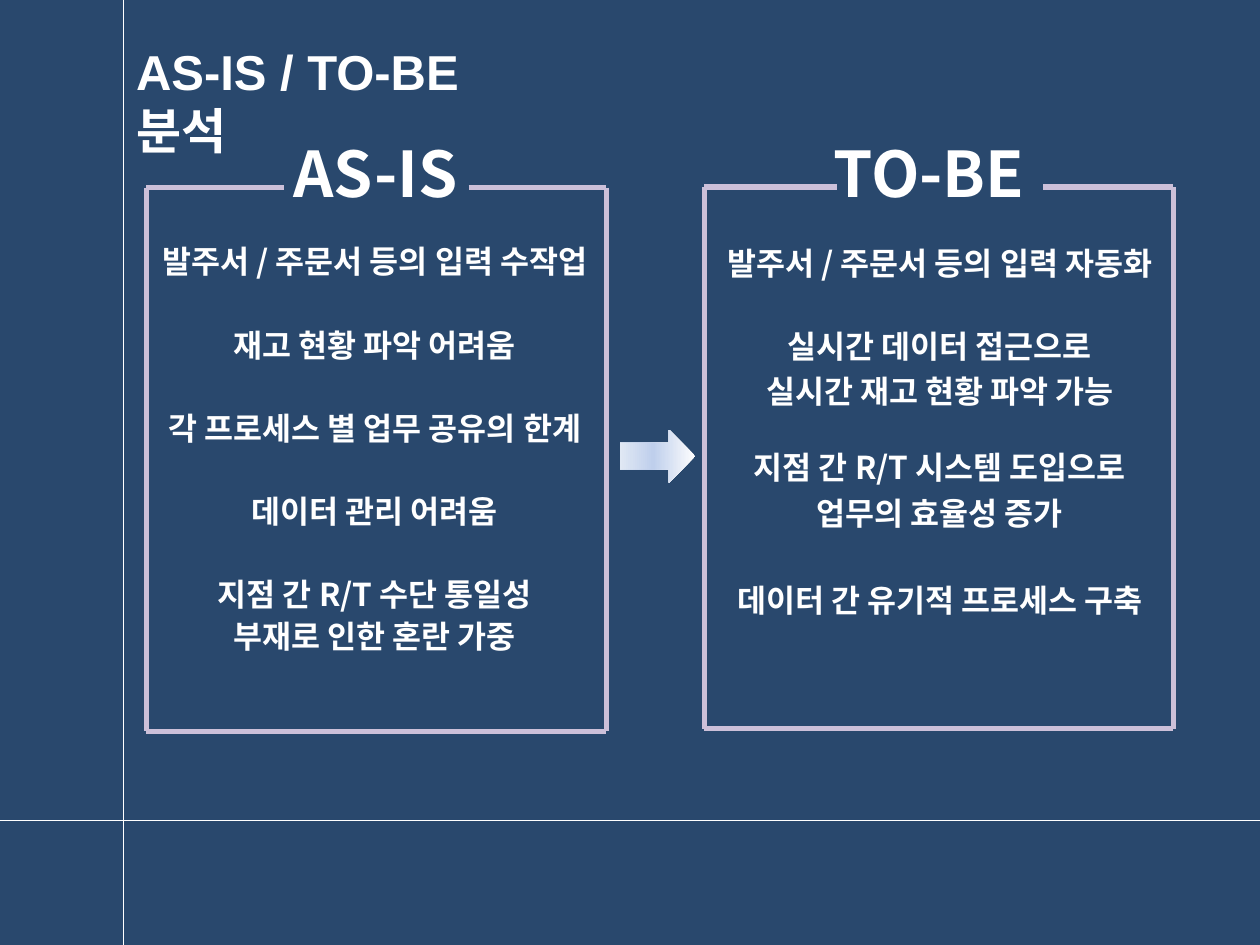
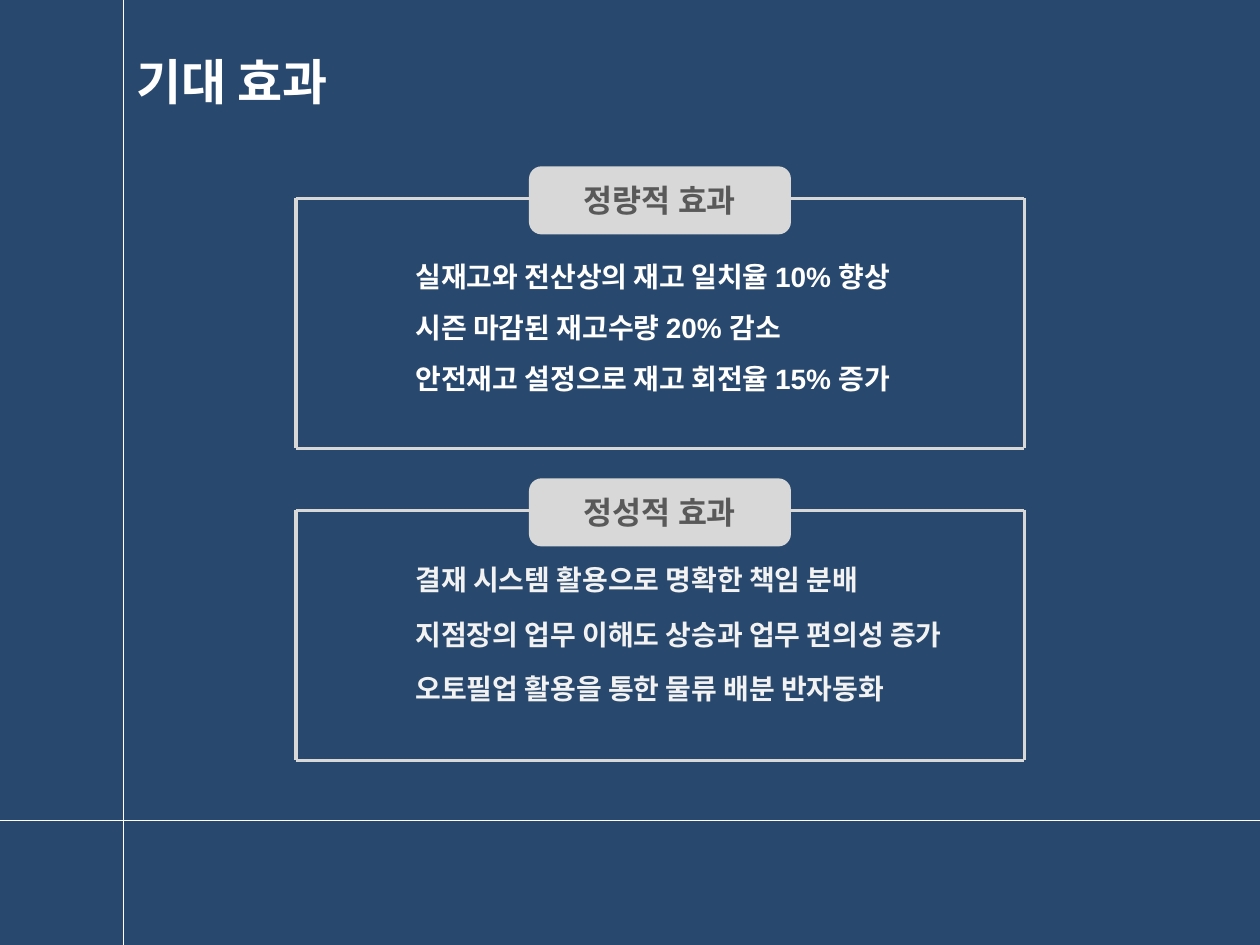
from dataclasses import dataclass
from lxml import etree
from pptx import Presentation
from pptx.dml.color import RGBColor
from pptx.enum.shapes import MSO_CONNECTOR, MSO_SHAPE
from pptx.enum.text import MSO_ANCHOR, MSO_AUTO_SIZE, PP_ALIGN
from pptx.oxml.ns import qn
from pptx.util import Cm, Pt

LEFT, CENTER = PP_ALIGN.LEFT, PP_ALIGN.CENTER
TOP, MIDDLE = MSO_ANCHOR.TOP, MSO_ANCHOR.MIDDLE
STRAIGHT = MSO_CONNECTOR.STRAIGHT
ARROW, PILL = MSO_SHAPE.RIGHT_ARROW, MSO_SHAPE.ROUNDED_RECTANGLE


@dataclass(frozen=True)
class Theme:
    background: str = "29486D"
    white: str = "FFFFFF"
    soft_white: str = "F2F2F2"
    lilac: str = "CCC0D9"
    grey: str = "D8D8D8"
    dark_grey: str = "595959"
    arrow: tuple = ((0, "FEFEFE"), (56, "BFCFEC"), (100, "E0E8F4"))
    latin: str = "Arial"
    korean: str = "Noto Sans CJK KR"
    title: int = 28
    heading: int = 36
    body: int = 18
    item: int = 16
    guide: float = 0.75
    frame: int = 3
    panel: int = 2


T = Theme()
WIDTH, HEIGHT = 25.4, 19.05
GUIDE_X, GUIDE_Y = 2.49, 16.54
TITLE_W, TITLE_H = 8.81, 1.45

COMPARISON = [
    {
        "heading": "AS-IS",
        "heading_box": (4.98, 2.41, 5.18, 2.13),
        "frame": (2.95, 3.78, 12.22, 14.74),
        "gap": (5.72, 9.45),
        "text_box": (2.41, 4.85, 10.29, 8.79),
        "spacing": 0.9,
        "lines": [
            ("발주서 / 주문서 등의 입력 수작업", 0),
            ("재고 현황 파악 어려움", 28),
            ("각 프로세스 별 업무 공유의 한계", 28),
            ("데이터 관리 어려움", 28),
            ("지점 간 R/T 수단 통일성", 28),
            ("부재로 인한 혼란 가중", 4.5),
        ],
    },
    {
        "heading": "TO-BE",
        "heading_box": (14.97, 2.24, 7.52, 2.46),
        "frame": (14.2, 3.77, 23.65, 14.69),
        "gap": (16.87, 21.03),
        "text_box": (13.79, 4.8, 10.31, 8.79),
        "spacing": 1.0,
        "lines": [
            ("발주서 / 주문서 등의 입력 자동화", 0),
            ("실시간 데이터 접근으로", 25.5),
            ("실시간 재고 현황 파악 가능", 4.4),
            ("지점 간 R/T 시스템 도입으로", 22),
            ("업무의 효율성 증가", 4.4),
            ("데이터 간 유기적 프로세스 구축", 28),
        ],
    },
]
ARROW_BOX = (12.5, 8.66, 1.52, 1.07)

EFFECTS = [
    {
        "label": "정량적 효과",
        "top": 4.0,
        "text_box": (8.13, 5.11, 12.12, 3.71),
        "color": T.white,
        "gap": 10,
        "lines": [
            "실재고와 전산상의 재고 일치율 10% 향상",
            "시즌 마감된 재고수량 20% 감소",
            "안전재고 설정으로 재고 회전율 15% 증가",
        ],
    },
    {
        "label": "정성적 효과",
        "top": 10.29,
        "text_box": (8.13, 11.22, 11.2, 3.35),
        "color": T.soft_white,
        "gap": 12,
        "lines": [
            "결재 시스템 활용으로 명확한 책임 분배",
            "지점장의 업무 이해도 상승과 업무 편의성 증가",
            "오토필업 활용을 통한 물류 배분 반자동화",
        ],
    },
]
PANEL_LEFT, PANEL_RIGHT, PANEL_H = 5.97, 20.65, 5.04
PILL_LEFT, PILL_W, PILL_H = 10.7, 5.21, 1.3


def cm(*values):
    return [Cm(v) for v in values]


def rgb(color):
    return RGBColor.from_string(color)


def write(sp, lines, size, color=T.white, font=T.latin, align=LEFT,
          anchor=TOP, spacing=1.0):
    tf = sp.text_frame
    tf.word_wrap = True
    tf.auto_size = MSO_AUTO_SIZE.NONE
    tf.vertical_anchor = anchor
    for i, (text, before) in enumerate(lines):
        p = tf.add_paragraph() if i else tf.paragraphs[0]
        p.text = text
        p.alignment = align
        p.line_spacing = spacing
        p.space_before = Pt(before)
        p.font.name = font
        p.font.size = Pt(size)
        p.font.bold = True
        p.font.color.rgb = rgb(color)
        props = p._p.pPr.find(qn("a:defRPr"))
        etree.SubElement(props, qn("a:ea")).set("typeface", T.korean)


def add_text(s, box, lines, size, **style):
    write(s.shapes.add_textbox(*cm(*box)), lines, size, **style)


def add_line(s, start, end, color, width):
    line = s.shapes.add_connector(STRAIGHT, *cm(*start, *end))
    line.line.color.rgb = rgb(color)
    line.line.width = Pt(width)
    etree.SubElement(line._element.spPr, qn("a:effectLst"))


def add_open_frame(s, frame, gap, color, width):
    left, top, right, bottom = frame
    gap_left, gap_right = gap
    for start, end in [
        ((left, top), (gap_left, top)),
        ((gap_right, top), (right, top)),
        ((left, top), (left, bottom)),
        ((right, top), (right, bottom)),
        ((left, bottom), (right, bottom)),
    ]:
        add_line(s, start, end, color, width)


def add_arrow(s):
    sp = s.shapes.add_shape(ARROW, *cm(*ARROW_BOX))
    sp.shadow.inherit = False
    sp.line.fill.background()
    sp.fill.gradient()
    sp.fill.gradient_angle = 180
    stops = sp._element.spPr.find(qn("a:gradFill")).find(qn("a:gsLst"))
    for stop in list(stops):
        stops.remove(stop)
    for position, color in T.arrow:
        stop = etree.SubElement(stops, qn("a:gs"), pos=str(position * 1000))
        etree.SubElement(stop, qn("a:srgbClr"), val=color)


def add_pill(s, top, label):
    sp = s.shapes.add_shape(PILL, *cm(PILL_LEFT, top - PILL_H / 2, PILL_W, PILL_H))
    sp.shadow.inherit = False
    sp.fill.solid()
    sp.fill.fore_color.rgb = rgb(T.grey)
    sp.line.color.rgb = rgb(T.grey)
    sp.line.width = Pt(T.panel)
    write(sp, [(label, 0)], T.body, color=T.dark_grey, align=CENTER, anchor=MIDDLE)


def add_slide(prs, title, title_top):
    s = prs.slides.add_slide(prs.slide_layouts.get_by_name("Title Only"))
    add_line(s, (0, GUIDE_Y), (WIDTH, GUIDE_Y), T.white, T.guide)
    add_line(s, (GUIDE_X, 0), (GUIDE_X, HEIGHT), T.white, T.guide)
    sp = s.shapes.title
    sp.left, sp.top, sp.width, sp.height = cm(GUIDE_X, title_top, TITLE_W, TITLE_H)
    write(sp, [(title, 0)], T.title)
    return s


def add_comparison(prs):
    s = add_slide(prs, "AS-IS / TO-BE 분석", 0.71)
    for side in COMPARISON:
        add_open_frame(s, side["frame"], side["gap"], T.lilac, T.frame)
        add_text(s, side["heading_box"], [(side["heading"], 0)], T.heading,
                 font=T.korean, align=CENTER, anchor=MIDDLE)
        add_text(s, side["text_box"], side["lines"], T.body,
                 font=T.korean, align=CENTER, spacing=side["spacing"])
    add_arrow(s)


def add_effects(prs):
    s = add_slide(prs, "기대 효과", 0.92)
    for panel in EFFECTS:
        top = panel["top"]
        add_open_frame(s, (PANEL_LEFT, top, PANEL_RIGHT, top + PANEL_H),
                       (PILL_LEFT, PILL_LEFT + PILL_W), T.grey, T.panel)
        add_pill(s, top + 0.04, panel["label"])
        lines = [(text, panel["gap"] if i else 0)
                 for i, text in enumerate(panel["lines"])]
        add_text(s, panel["text_box"], lines, T.item, color=panel["color"])


def main():
    prs = Presentation()
    prs.slide_width, prs.slide_height = cm(WIDTH, HEIGHT)
    fill = prs.slide_master.background.fill
    fill.solid()
    fill.fore_color.rgb = rgb(T.background)
    add_comparison(prs)
    add_effects(prs)
    prs.save("out.pptx")


if __name__ == "__main__":
    main()
